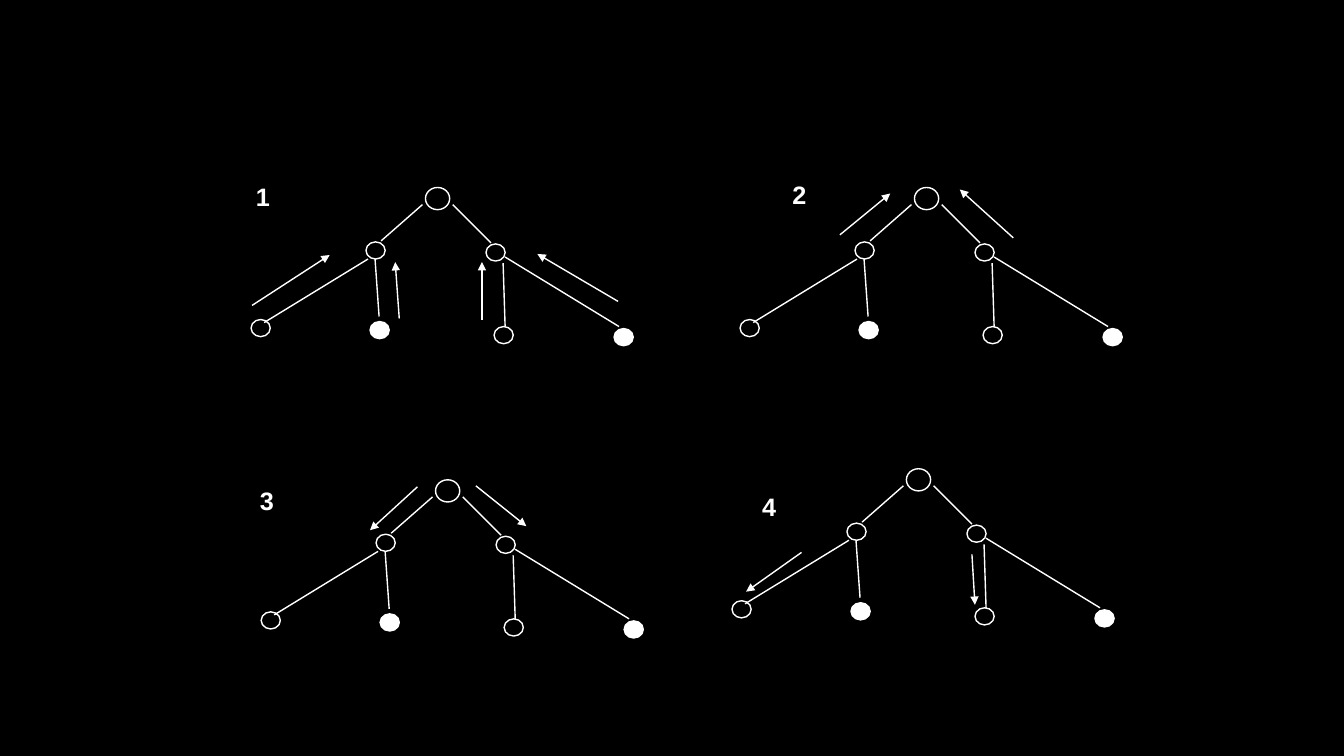
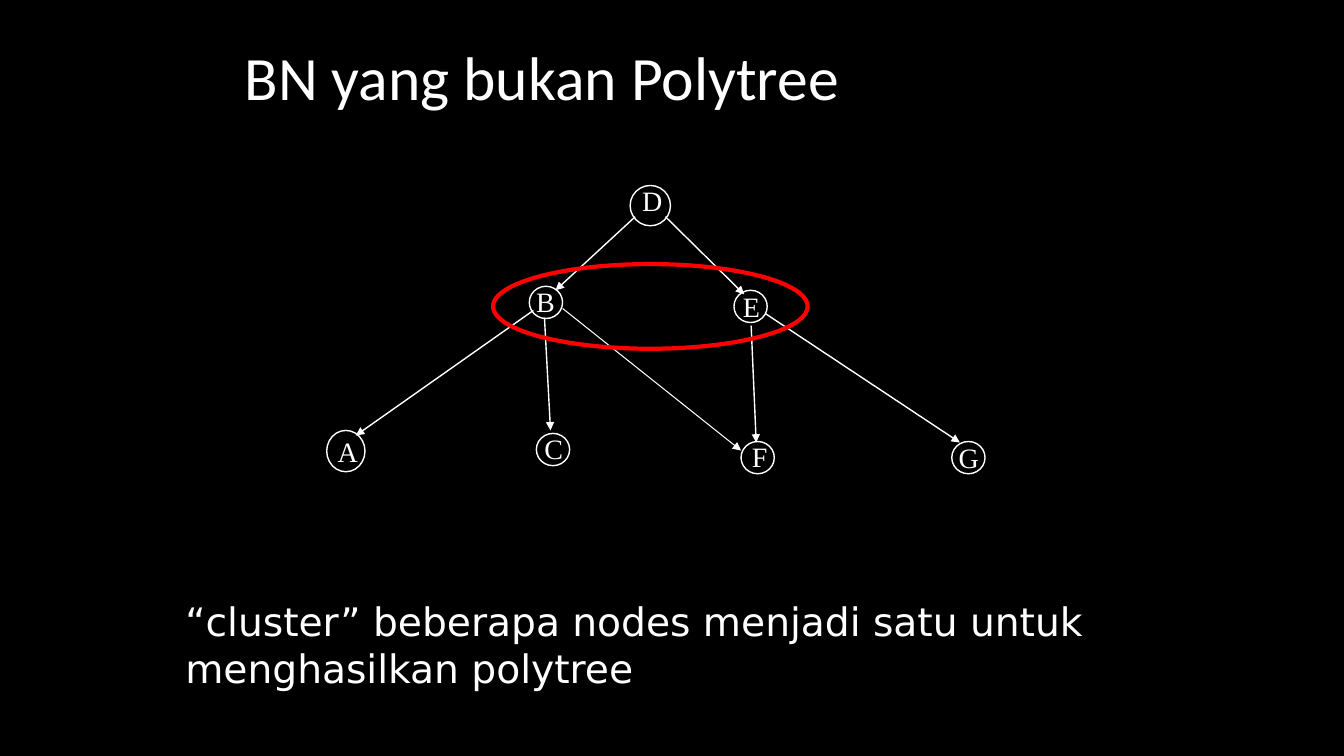
"""Builds two slides on message passing in polytrees and clustering of nodes."""
from lxml.etree import SubElement
from pptx import Presentation
from pptx.dml.color import RGBColor
from pptx.enum.shapes import MSO_CONNECTOR, MSO_SHAPE
from pptx.enum.text import MSO_ANCHOR
from pptx.oxml.ns import qn
from pptx.util import Inches, Pt

BLACK = RGBColor(0x00, 0x00, 0x00)
WHITE = RGBColor(0xFF, 0xFF, 0xFF)
RED = RGBColor(0xFF, 0x00, 0x00)

ROOT_SIZE = (0.24, 0.22)
NODE_SIZE = (0.19, 0.17)
TREE_NODES = [
    (0, 0, ROOT_SIZE, None),
    (-0.59, 0.54, NODE_SIZE, None),
    (0.6, 0.56, NODE_SIZE, None),
    (-1.73, 1.31, NODE_SIZE, None),
    (-0.55, 1.33, NODE_SIZE, WHITE),
    (0.68, 1.38, NODE_SIZE, None),
    (1.87, 1.4, NODE_SIZE, WHITE),
]
TREE_EDGES = [
    ((-0.03, 0.17), (-0.44, 0.53)),
    ((0.27, 0.17), (0.65, 0.55)),
    ((-0.57, 0.71), (-1.6, 1.34)),
    ((-0.5, 0.71), (-0.46, 1.28)),
    ((0.77, 0.75), (0.79, 1.38)),
    ((0.79, 0.69), (1.92, 1.38)),
]
STEPS = [
    {"number": "1", "label": (2.44, 1.75), "root": (4.22, 1.86), "messages": [
        ((2.5, 3.03), (3.27, 2.53)), ((3.96, 3.16), (3.92, 2.6)),
        ((4.78, 3.17), (4.78, 2.6)), ((6.13, 2.99), (5.33, 2.52))]},
    {"number": "2", "label": (7.76, 1.73), "root": (9.07, 1.86), "messages": [
        ((8.33, 2.33), (8.83, 1.92)), ((10.05, 2.36), (9.52, 1.88))]},
    {"number": "3", "label": (2.48, 4.77), "root": (4.32, 4.76), "messages": [
        ((4.14, 4.83), (3.67, 5.26)), ((4.72, 4.82), (5.22, 5.22))]},
    {"number": "4", "label": (7.46, 4.83), "root": (8.99, 4.65), "messages": [
        ((7.95, 5.48), (7.4, 5.87)), ((9.64, 5.5), (9.67, 6))]},
]

TITLE = "BN yang bukan Polytree"
CAPTION = "“cluster” beberapa nodes menjadi satu untuk menghasilkan polytree"
NETWORK_NODES = [
    ("D", (6.25, 1.84, 0.4, 0.4), (6.27, 1.77, 0.4)),
    ("B", (5.25, 2.84, 0.33, 0.32), (5.22, 2.77, 0.39)),
    ("E", (7.28, 2.88, 0.33, 0.32), (7.27, 2.82, 0.37)),
    ("A", (3.24, 4.27, 0.38, 0.41), (3.25, 4.26, 0.4)),
    ("C", (5.32, 4.3, 0.33, 0.32), (5.3, 4.23, 0.39)),
    ("F", (7.35, 4.38, 0.33, 0.32), (7.36, 4.31, 0.36)),
    ("G", (9.44, 4.38, 0.33, 0.32), (9.41, 4.32, 0.4)),
]
NETWORK_EDGES = [
    ((6.3, 2.15), (5.51, 2.88), 1),
    ((6.6, 2.15), (7.38, 2.92), 1),
    ((5.29, 3.08), (3.53, 4.32), 1),
    ((5.4, 3.15), (5.46, 4.27), 1),
    ((7.45, 3.23), (7.5, 4.39), 1),
    ((7.59, 3.11), (9.52, 4.39), 1),
    ((5.58, 3.06), (7.35, 4.47), 0.75),
]
CLUSTER = (4.89, 2.62, 3.12, 0.84)


def add_black_slide(deck):
    slide = deck.slides.add_slide(deck.slide_layouts[6])
    slide.background.fill.solid()
    slide.background.fill.fore_color.rgb = BLACK
    return slide


def add_ellipse(shapes, box, fill=None, color=WHITE, width=1):
    ellipse = shapes.add_shape(MSO_SHAPE.OVAL, *map(Inches, box))
    ellipse.shadow.inherit = False
    if fill is None:
        ellipse.fill.background()
    else:
        ellipse.fill.solid()
        ellipse.fill.fore_color.rgb = fill
    ellipse.line.color.rgb = color
    ellipse.line.width = Pt(width)


def add_line(shapes, start, end, width=1, arrow=False):
    line = shapes.add_connector(MSO_CONNECTOR.STRAIGHT, *map(Inches, (*start, *end)))
    line.line.color.rgb = WHITE
    line.line.width = Pt(width)
    if arrow:
        SubElement(line.line._get_or_add_ln(), qn("a:tailEnd"), type="triangle")
    SubElement(line._element.spPr, qn("a:effectLst"))


def add_text(slide, box, text, font, size, bold=False, wrap=False):
    frame = slide.shapes.add_textbox(*map(Inches, box)).text_frame
    frame.text = text
    frame.word_wrap = wrap
    style = frame.paragraphs[0].runs[0].font
    style.name, style.size, style.bold = font, Pt(size), bold
    style.color.rgb = WHITE
    return frame


def add_tree(slide, root):
    left, top = root
    shapes = slide.shapes.add_group_shape().shapes
    for x, y, size, fill in TREE_NODES:
        add_ellipse(shapes, (left + x, top + y, *size), fill)
    for edge in TREE_EDGES:
        start, end = ((left + x, top + y) for x, y in edge)
        add_line(shapes, start, end)


def build_message_slide(deck):
    slide = add_black_slide(deck)
    for step in STEPS:
        add_tree(slide, step["root"])
        for start, end in step["messages"]:
            add_line(slide.shapes, start, end, arrow=True)
        add_text(slide, (*step["label"], 0.34, 0.4), step["number"], "Arial", 18, bold=True)


def build_cluster_slide(deck):
    slide = add_black_slide(deck)
    title = add_text(slide, (2.33, 0.17, 8.5, 1.25), TITLE, "Calibri", 44, wrap=True)
    title.vertical_anchor = MSO_ANCHOR.MIDDLE
    title.paragraphs[0].line_spacing = 0.9
    for letter, circle, label in NETWORK_NODES:
        add_ellipse(slide.shapes, circle)
        add_text(slide, (*label, 0.43), letter, "Times New Roman", 20)
    for start, end, width in NETWORK_EDGES:
        add_line(slide.shapes, start, end, width, arrow=True)
    add_text(slide, (1.74, 5.88, 9.85, 1.04), CAPTION, "DejaVu Sans", 28, wrap=True)
    add_ellipse(slide.shapes, CLUSTER, color=RED, width=3)


def main():
    deck = Presentation()
    deck.slide_width, deck.slide_height = Inches(13.33), Inches(7.5)
    build_message_slide(deck)
    build_cluster_slide(deck)
    deck.save("out.pptx")


if __name__ == "__main__":
    main()
